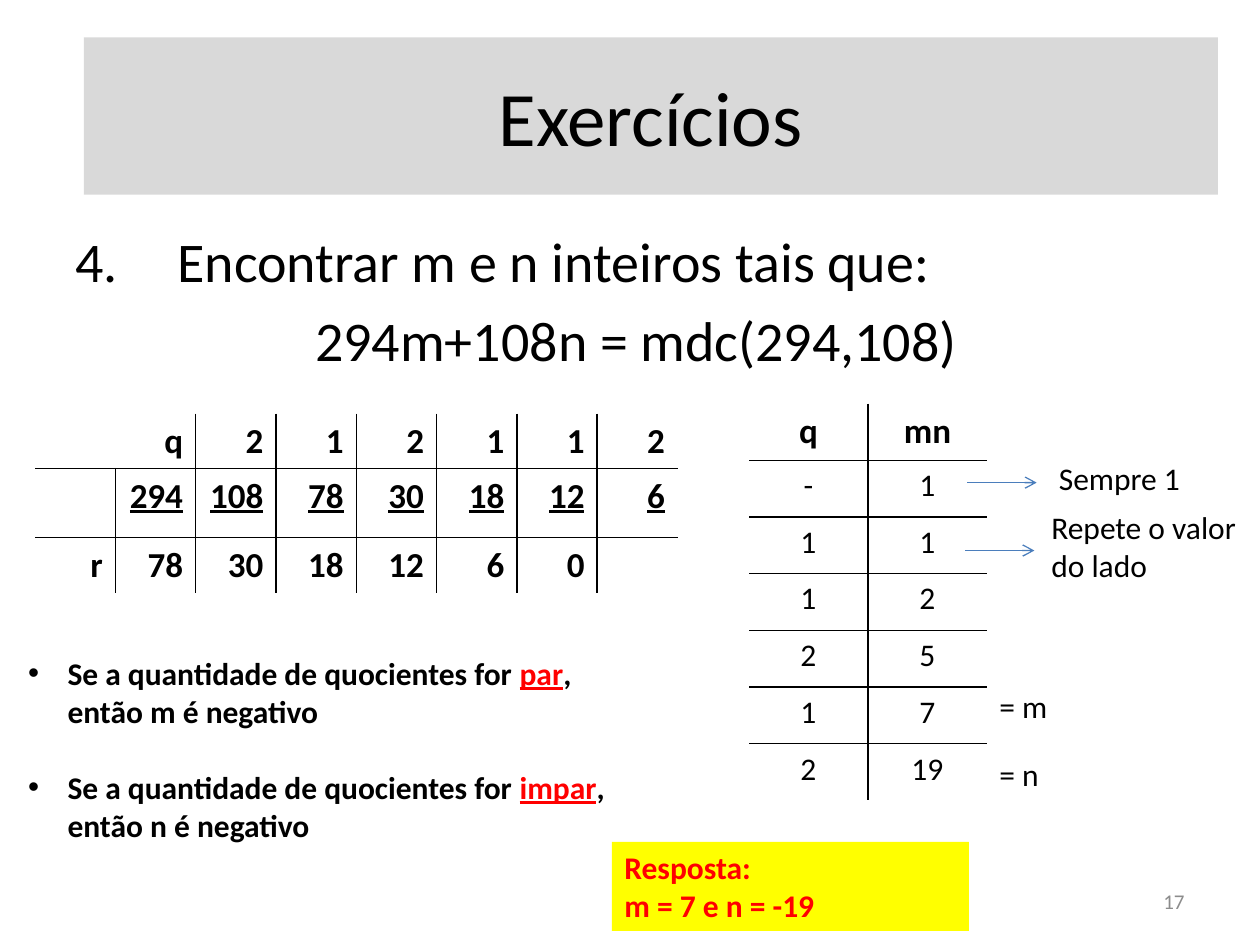
from lxml import etree
from pptx import Presentation
from pptx.dml.color import RGBColor
from pptx.enum.shapes import MSO_CONNECTOR, MSO_SHAPE
from pptx.enum.text import MSO_ANCHOR, PP_ALIGN
from pptx.oxml.ns import qn
from pptx.util import Pt

LEFT, CENTER, RIGHT = PP_ALIGN.LEFT, PP_ALIGN.CENTER, PP_ALIGN.RIGHT
TOP, MIDDLE = MSO_ANCHOR.TOP, MSO_ANCHOR.MIDDLE
RECTANGLE = MSO_SHAPE.RECTANGLE
STRAIGHT = MSO_CONNECTOR.STRAIGHT
BLACK, RED, GRAY, BLUE = "000000", "FF0000", "8C8C8C", "4B7EBC"


def rgb(hex_color):
    return RGBColor.from_string(hex_color)


def add_xml(parent, tag, **attributes):
    return etree.SubElement(parent, qn(tag), attributes)


def set_list_mark(paragraph, indent, tag, **attributes):
    """Give the paragraph a hanging indent and a bullet or number."""
    properties = paragraph._p.get_or_add_pPr()
    properties.set("marL", str(Pt(indent)))
    properties.set("indent", str(-Pt(indent)))
    if tag == "a:buChar":
        add_xml(properties, "a:buFont", typeface="Arial")
    add_xml(properties, tag, **attributes)


def set_borders(cell, visible_sides):
    """Draw the named sides (of L, R, T, B) and clear the others."""
    properties = cell._tc.get_or_add_tcPr()
    for position, side in enumerate("LRTB"):
        line = etree.Element(qn(f"a:ln{side}"), w=str(Pt(1)))
        if side in visible_sides:
            add_xml(add_xml(line, "a:solidFill"), "a:srgbClr", val=BLACK)
        else:
            add_xml(line, "a:noFill")
        properties.insert(position, line)


class SlideWriter:
    def __init__(self, slide, font="Calibri", size=18):
        self.slide = slide
        self.font = font
        self.size = size

    def run(self, paragraph, text, size=None, color=BLACK, bold=False, underline=False):
        run = paragraph.add_run()
        run.text = text
        run.font.name = self.font
        run.font.size = Pt(size or self.size)
        run.font.color.rgb = rgb(color)
        run.font.bold = bold
        run.font.underline = underline

    def lines(self, frame, lines, align, anchor, space_before=0, **style):
        """Fill the frame with one paragraph per line and return the paragraphs."""
        frame.word_wrap = True
        frame.vertical_anchor = anchor
        for index, line in enumerate(lines):
            paragraph = frame.add_paragraph() if index else frame.paragraphs[0]
            paragraph.alignment = align
            paragraph.space_before = Pt(space_before)
            if line:
                self.run(paragraph, line, **style)
        return frame.paragraphs

    def text(self, box, *lines, align=LEFT, anchor=TOP, **style):
        frame = self.slide.shapes.add_textbox(*map(Pt, box)).text_frame
        return self.lines(frame, lines, align, anchor, **style)

    def panel(self, box, fill, *lines, align=LEFT, anchor=TOP, **style):
        panel = self.slide.shapes.add_shape(RECTANGLE, *map(Pt, box))
        panel.shadow.inherit = False
        panel.fill.solid()
        panel.fill.fore_color.rgb = rgb(fill)
        panel.line.fill.background()
        self.lines(panel.text_frame, lines, align, anchor, **style)

    def arrow(self, x, y, length):
        arrow = self.slide.shapes.add_connector(
            STRAIGHT, Pt(x), Pt(y), Pt(x + length), Pt(y))
        arrow.line.color.rgb = rgb(BLUE)
        arrow.line.width = Pt(0.75)
        add_xml(arrow.line._get_or_add_ln(), "a:tailEnd", type="arrow")
        add_xml(arrow._element.spPr, "a:effectLst")

    def inner_grid(self, left, top, column_width, row_heights, rows, align, style_of_row):
        """Add a table that has lines between its cells but no frame."""
        row_count, column_count = len(rows), len(rows[0])
        table = self.slide.shapes.add_table(
            row_count, column_count, Pt(left), Pt(top),
            Pt(column_width * column_count), Pt(sum(row_heights))).table
        table.first_row = table.horz_banding = False
        for column in table.columns:
            column.width = Pt(column_width)
        for r, values in enumerate(rows):
            table.rows[r].height = Pt(row_heights[r])
            for c, value in enumerate(values):
                cell = table.cell(r, c)
                cell.fill.background()
                inner = {"L": c > 0, "R": c < column_count - 1,
                         "T": r > 0, "B": r < row_count - 1}
                set_borders(cell, [side for side, shown in inner.items() if shown])
                self.lines(cell.text_frame, [value], align, TOP, **style_of_row(r))
        return table


def main():
    presentation = Presentation()
    presentation.slide_width, presentation.slide_height = Pt(720), Pt(540)
    slide = presentation.slides.add_slide(presentation.slide_layouts[6])
    writer = SlideWriter(slide)

    exercise, equation = writer.text(
        (36, 126, 648, 356.4), "Encontrar m e n inteiros tais que:",
        " 294m+108n = mdc(294,108)", size=32, space_before=6.4)
    set_list_mark(exercise, 58.3, "a:buAutoNum", type="arabicPeriod", startAt="4")
    equation.alignment = CENTER

    writer.text((516, 500.5, 168, 28.8), "17", align=RIGHT, anchor=MIDDLE,
                size=12, color=GRAY)
    writer.panel((48, 21.3, 648, 90), "D9D9D9", "Exercícios",
                 align=CENTER, anchor=MIDDLE, size=44)

    quotients = ["2", "1", "2", "1", "1", "2"]
    divisions = [
        ["q", ""] + quotients,
        ["", "294", "108", "78", "30", "18", "12", "6"],
        ["r", "78", "30", "18", "12", "6", "0", ""],
    ]
    euclid = writer.inner_grid(
        20, 236.3, 45.9, [31.5, 39.5, 31.5], divisions, RIGHT,
        lambda row: {"size": 20, "bold": True, "underline": row == 1})
    euclid.cell(0, 0).merge(euclid.cell(0, 1))

    coefficients = [("q", "mn"), ("-", "1"), ("1", "1"), ("1", "2"),
                    ("2", "5"), ("1", "7"), ("2", "19")]
    writer.inner_grid(
        428, 230.6, 68, [32.4] * len(coefficients), coefficients, CENTER,
        lambda row: {"size": 18 if row else 20, "bold": row == 0})

    rules = writer.text((9, 370, 363, 116.6), "", "")
    for rule, (parity, negative) in zip(rules, [("par", "m"), ("impar", "n")]):
        writer.run(rule, "Se a quantidade de quocientes for ", bold=True)
        writer.run(rule, parity, color=RED, bold=True, underline=True)
        writer.run(rule, f", então {negative} é negativo", bold=True)
        set_list_mark(rule, 22.5, "a:buChar", char="•")
    rules[1].space_before = Pt(22)

    for box, note in [
        ((564, 388.8, 56.7, 29), "= m"),
        ((564, 427.7, 56.7, 29), "= n"),
        ((598, 258.5, 92.2, 29), "Sempre 1"),
        ((593.7, 287, 123.3, 51), "Repete o valor do lado"),
    ]:
        writer.text(box, note)
    for x, y in [(552.8, 275.8), (551.5, 314.6)]:
        writer.arrow(x, y, 39.6)

    writer.panel((349.7, 481, 204, 51), "FFFF00", "Resposta:", "m = 7 e n = -19",
                 color=RED, bold=True)
    presentation.save("out.pptx")


if __name__ == "__main__":
    main()
